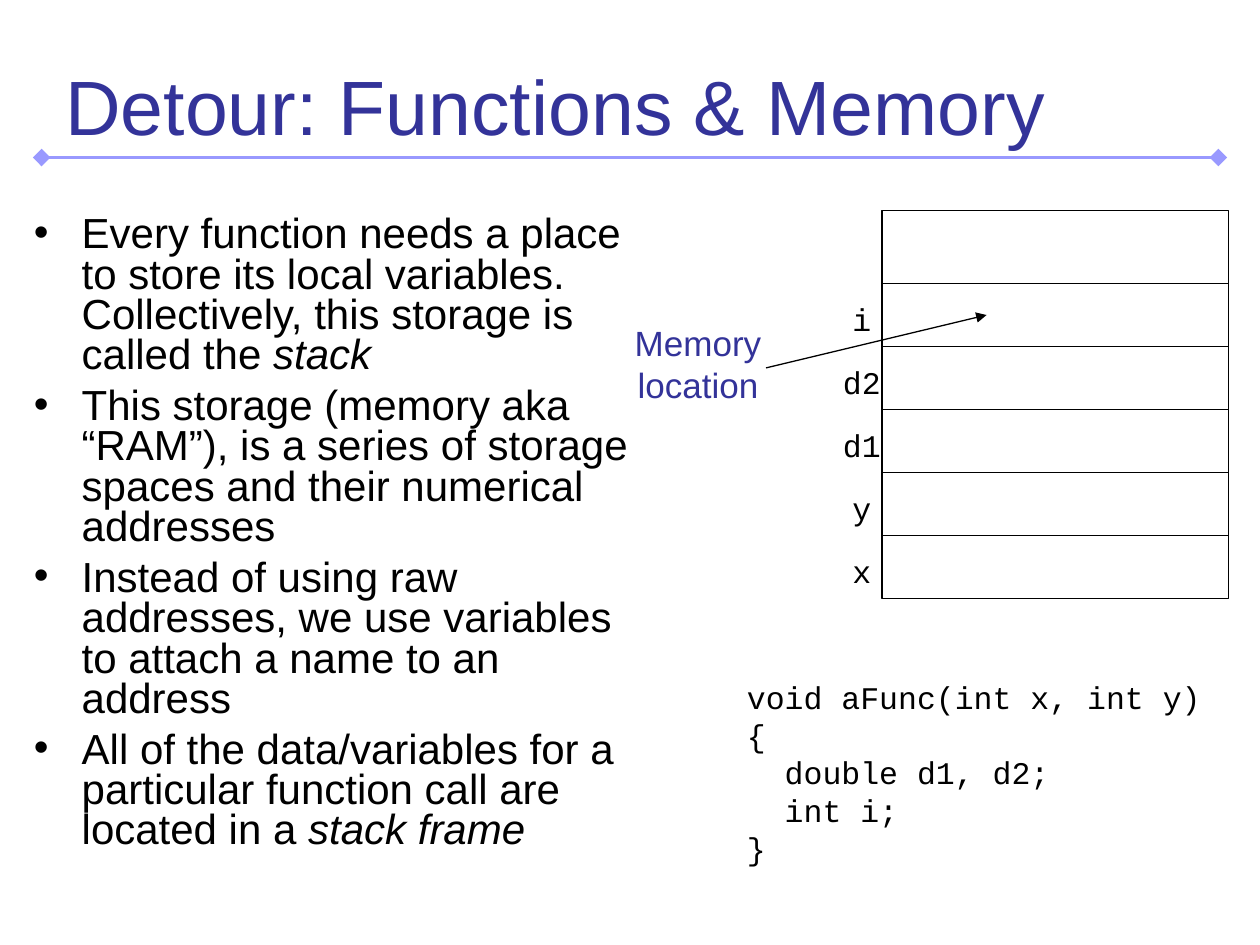
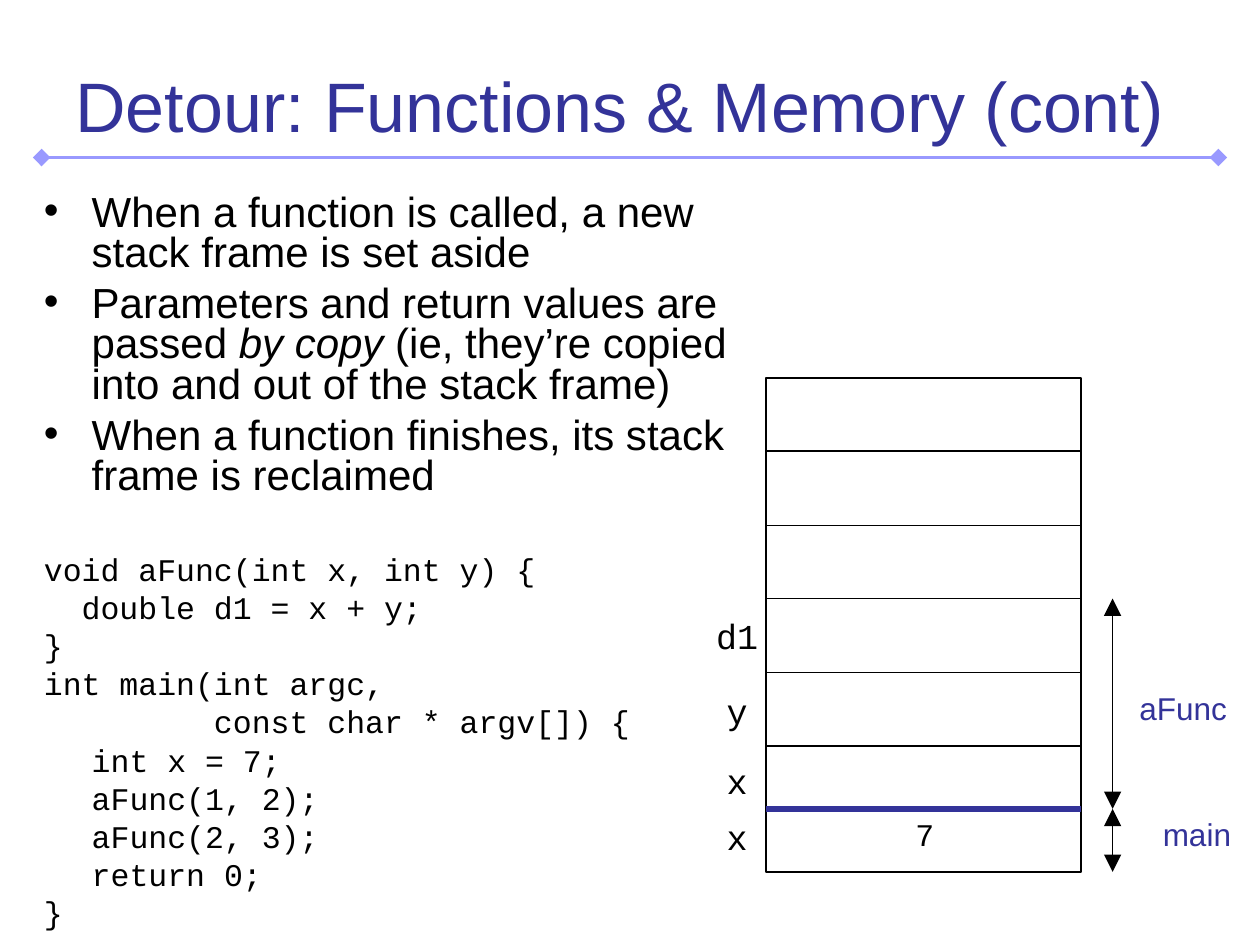
"""Build two slides on functions and stack memory."""
from pptx import Presentation
from pptx.dml.color import RGBColor
from pptx.enum.shapes import MSO_CONNECTOR, MSO_SHAPE
from pptx.enum.text import MSO_ANCHOR, PP_ALIGN
from pptx.oxml.ns import qn
from pptx.util import Pt
from lxml.etree import SubElement

SCALE = 9144
INK, NAVY, RULE = "000000", "333399", "9999FF"
SANS, MONO = "Arial", "Courier New"
TIGHT = 0.8


def px(num):
    """Turn px into EMU."""
    return num * SCALE


def paint(code):
    """Turn a hex string into a colour."""
    return RGBColor.from_string(code)


class Deck:
    """Hold the style and the current slide."""

    def __init__(self):
        """Open an empty deck."""
        self.file = Presentation()
        self.file.slide_width, self.file.slide_height = px(1000), px(750)
        self.slide = None

    def page(self, title, box, size):
        """Start a slide with its title and rule."""
        self.slide = self.file.slides.add_slide(self.file.slide_layouts[6])
        self.line(33, 125, 967, 125, RULE, 2, "diamond", "diamond", "lg")
        self.text(title, box, size, NAVY, anchor=MSO_ANCHOR.MIDDLE)

    def line(self, left, top, right, low, tint=INK, width=0.75,
             head=None, tail=None, size="med"):
        """Draw a line with optional ends."""
        item = self.slide.shapes.add_connector(
            MSO_CONNECTOR.STRAIGHT, px(left), px(top), px(right), px(low))
        item.line.color.rgb = paint(tint)
        item.line.width = Pt(width)
        props = item.line._get_or_add_ln()
        for tag, kind in (("a:headEnd", head), ("a:tailEnd", tail)):
            if kind:
                SubElement(props, qn(tag), type=kind, w=size, len=size)
        SubElement(item._element.spPr, qn("a:effectLst"))

    def style(self, part, size, tint=INK, face=SANS):
        """Set the font of each run in a paragraph."""
        for run in part.runs:
            run.font.size, run.font.name = Pt(size), face
            run.font.color.rgb = paint(tint)

    def frame(self, box, wrap=True):
        """Add a text box and return its frame."""
        item = self.slide.shapes.add_textbox(*map(px, box))
        item.text_frame.word_wrap = wrap
        return item.text_frame

    def text(self, words, box, size, tint=INK, face=SANS, align=PP_ALIGN.LEFT,
             anchor=MSO_ANCHOR.TOP, wrap=True):
        """Add plain text."""
        frame = self.frame(box, wrap)
        frame.vertical_anchor = anchor
        frame.text = words
        for part in frame.paragraphs:
            part.alignment = align
            self.style(part, size, tint, face)

    def label(self, words, mid, top, size, face=MONO, tint=INK, width=70):
        """Add text centred on a point."""
        self.text(words, (mid - width // 2, top, width, 40), size, tint, face,
                  PP_ALIGN.CENTER, wrap=False)

    def body(self, box, points, code=()):
        """Add bullets, then code lines."""
        frame = self.frame(box)
        for spot, point in enumerate(points):
            part = frame.add_paragraph() if spot else frame.paragraphs[0]
            self.point(part, point)
            if spot:
                part.space_before = Pt(6)
        for spot, words in enumerate(code):
            part = frame.add_paragraph()
            part.text = words.lstrip("\t")
            part.line_spacing = TIGHT
            part.space_before = Pt(4.5 if spot else 33.5)
            if words.startswith("\t"):
                part._p.get_or_add_pPr().set("marL", str(px(38)))
            self.style(part, 18, face=MONO)

    def point(self, part, words):
        """Fill one bullet, with starred words in italics."""
        props = part._p.get_or_add_pPr()
        props.set("marL", str(px(38)))
        props.set("indent", str(px(-38)))
        SubElement(SubElement(props, qn("a:buClr")), qn("a:srgbClr"), val=INK)
        SubElement(props, qn("a:buFont"), typeface=SANS)
        SubElement(props, qn("a:buChar"), char="•")
        part.line_spacing = TIGHT
        for spot, piece in enumerate(words.split("*")):
            if piece:
                run = part.add_run()
                run.text = piece
                run.font.italic = spot % 2 == 1
        self.style(part, 24)

    def stack(self, left, top, width, height, cuts):
        """Draw a memory block cut into cells."""
        item = self.slide.shapes.add_shape(
            MSO_SHAPE.RECTANGLE, *map(px, (left, top, width, height)))
        item.shadow.inherit = False
        item.fill.background()
        item.line.color.rgb = paint(INK)
        item.line.width = Pt(0.75)
        for cut in cuts:
            self.line(left, cut, left + width, cut)

    def save(self):
        """Write the file."""
        self.file.save("out.pptx")


def first(deck):
    """Build the slide on the stack."""
    deck.page("Detour: Functions & Memory", (42, 42, 884, 83), 44)
    deck.body((17, 167, 492, 550), [
        "Every function needs a place to store its local variables. "
        "Collectively, this storage is called the *stack*",
        "This storage (memory aka “RAM”), is a series of storage spaces "
        "and their numerical addresses",
        "Instead of using raw addresses, we use variables to attach a name "
        "to an address",
        "All of the data/variables for a particular function call are "
        "located in a *stack frame*",
    ])
    deck.label("Memory\nlocation", 554, 250, 20, SANS, NAVY, 124)
    deck.text("void aFunc(int x, int y) {\n  double d1, d2;\n  int i;\n}",
              (583, 533, 383, 160), 18, face=MONO)
    deck.stack(700, 167, 275, 308, range(225, 475, 50))
    for row, name in enumerate(("i", "d2", "d1", "y", "x")):
        deck.label(name, 684, 233 + 50 * row, 18)
    deck.line(608, 292, 783, 250, tail="triangle")


def second(deck):
    """Build the slide on stack frames."""
    deck.page("Detour: Functions & Memory (cont)", (50, 33, 909, 100), 40)
    deck.body((25, 150, 567, 600), [
        "When a function is called, a new stack frame is set aside",
        "Parameters and return values are passed *by copy* (ie, they’re "
        "copied into and out of the stack frame)",
        "When a function finishes, its stack frame is reclaimed",
    ], [
        "void aFunc(int x, int y) {",
        "  double d1 = x + y;",
        "}",
        "int main(int argc,",
        "         const char * argv[]) {",
        "\tint x = 7;",
        "\taFunc(1, 2);",
        "\taFunc(2, 3);",
        "\treturn 0;",
        "}",
    ])
    left, top, width, split, low = 608, 300, 250, 642, 692
    cuts = [top + round(58.4 * row) for row in range(1, 6)]
    deck.stack(left, top, width, low - top, cuts)
    deck.line(left, split, left + width, split, NAVY, 3)
    for name, high in (("d1", 483), ("y", 542), ("x", 598), ("x", 642)):
        deck.label(name, 585, high, 20)
    deck.label("7", 734, split, 18)
    for start, end in ((cuts[2], split), (split, low)):
        deck.line(883, start, 883, end, head="triangle", tail="triangle",
                  size="lg")
    deck.label("aFunc", 939, 542, 18, SANS, NAVY, 122)
    deck.label("main", 950, split, 18, SANS, NAVY, 100)


def main():
    """Build and save the deck."""
    deck = Deck()
    first(deck)
    second(deck)
    deck.save()


if __name__ == "__main__":
    main()
